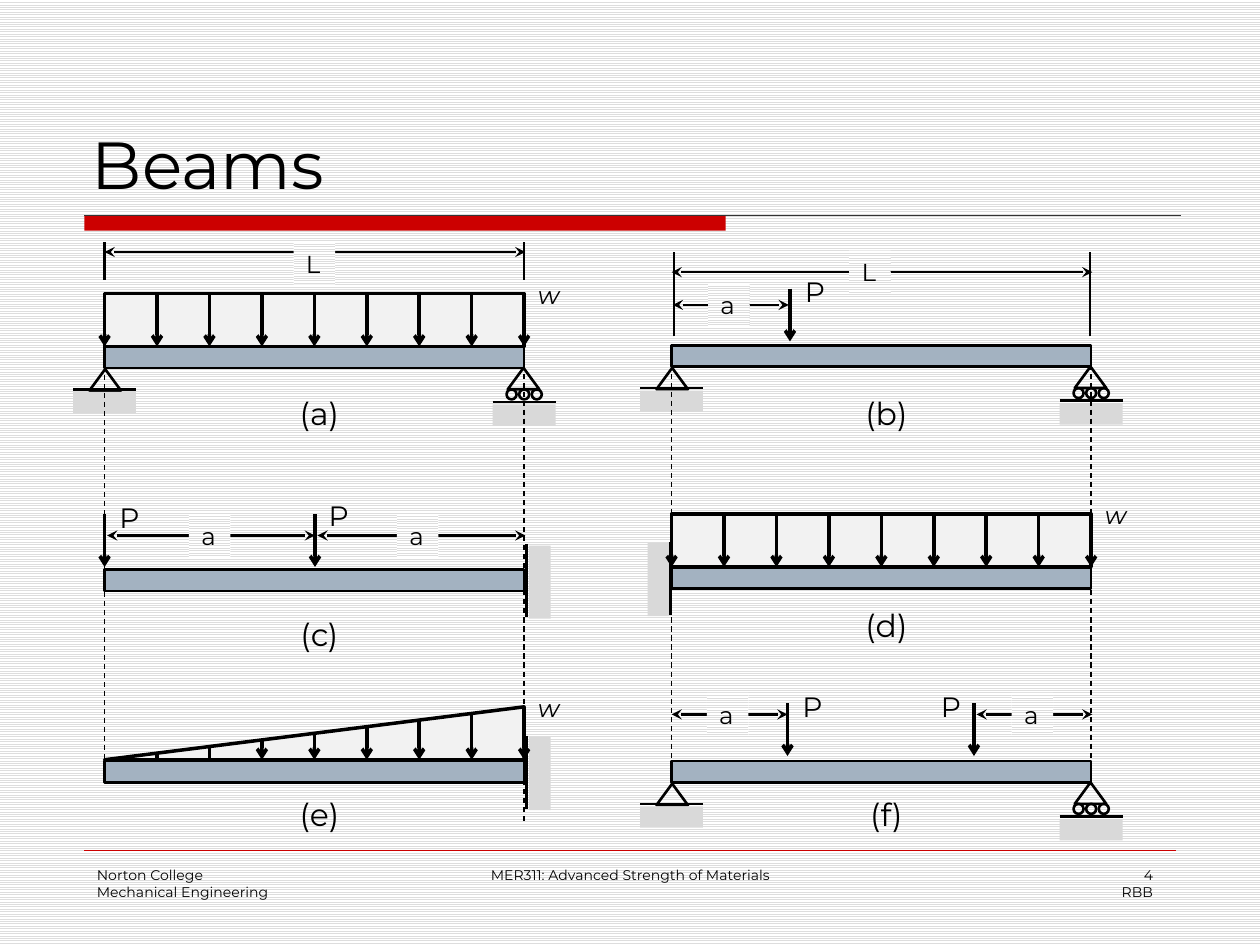
import pptx
import pptx.dml.color
import pptx.enum.dml
import pptx.enum.shapes
import pptx.enum.text
import pptx.oxml
import pptx.oxml.ns
import pptx.util
from pptx.util import Inches

RGBColor = pptx.dml.color.RGBColor
SHAPE = pptx.enum.shapes.MSO_SHAPE
ALIGN = pptx.enum.text.PP_ALIGN

BLACK = RGBColor(0, 0, 0)
WHITE = RGBColor(0xFF, 0xFF, 0xFF)
STRIPE = RGBColor(0xDD, 0xDD, 0xDD)
RED = RGBColor(0xCC, 0, 0)
RULE = RGBColor(0x33, 0x33, 0x33)
STEEL = RGBColor(0xA3, 0xB2, 0xC1)
GROUND = RGBColor(0xD9, 0xD9, 0xD9)
LOAD = RGBColor(0xF2, 0xF2, 0xF2)

SPAN, DEPTH, LOAD_H, STEPS = 3.33, 0.17, 0.42, 8
LEFT, RIGHT = 0.83, 5.33  # left ends of the beams in the two columns


class BeamSlide:
    font = "Montserrat"

    def __init__(self, slide):
        self.slide = slide
        self.stripes(slide.background.fill)

    def stripes(self, fill):
        fill.patterned()
        fill.pattern = pptx.enum.dml.MSO_PATTERN.LIGHT_HORIZONTAL
        fill.fore_color.rgb = STRIPE
        fill.back_color.rgb = WHITE

    # Basic elements
    def set_text(self, tf, text, size, align=ALIGN.LEFT, italic=None):
        tf.text = text
        for p in tf.paragraphs:
            p.alignment = align
            for r in p.runs:
                r.font.name, r.font.size = self.font, pptx.util.Pt(size)
                r.font.color.rgb, r.font.italic = BLACK, italic

    def title(self, text):
        sp = self.slide.shapes.title
        sp.left, sp.top, sp.width, sp.height = map(Inches, (0.63, 0.33, 8.75, 1.33))
        tf = sp.text_frame
        tf.auto_size = pptx.enum.text.MSO_AUTO_SIZE.NONE
        tf.vertical_anchor = pptx.enum.text.MSO_ANCHOR.BOTTOM
        self.set_text(tf, text, 38)

    def text(self, x, y, w, h, text, size, align=ALIGN.LEFT, italic=None, wrap=False):
        sp = self.slide.shapes.add_textbox(*map(Inches, (x, y, w, h)))
        sp.text_frame.word_wrap = wrap
        self.set_text(sp.text_frame, text, size, align, italic)

    def shape(self, kind, x, y, w, h, fill=None, width=None):
        sp = self.slide.shapes.add_shape(kind, *map(Inches, (x, y, w, h)))
        sp.shadow.inherit = False
        if fill is None:
            sp.fill.background()
        else:
            sp.fill.solid()
            sp.fill.fore_color.rgb = fill
        if width is None:
            sp.line.fill.background()
        else:
            sp.line.color.rgb, sp.line.width = BLACK, pptx.util.Pt(width)
        return sp

    def line(self, x1, y1, x2, y2, width=1.5, color=BLACK, head=None, tail=None, dash=False):
        s = self.slide.shapes.add_connector(
            pptx.enum.shapes.MSO_CONNECTOR.STRAIGHT, *map(Inches, (x1, y1, x2, y2)))
        s.line.color.rgb, s.line.width = color, pptx.util.Pt(width)
        if dash:
            s.line.dash_style = pptx.enum.dml.MSO_LINE.DASH
        ln = s.line._get_or_add_ln()
        for tag, end in (("a:headEnd", head), ("a:tailEnd", tail)):
            if end:
                ln.append(pptx.oxml.parse_xml(
                    f'<{tag} {pptx.oxml.ns.nsdecls("a")} type="{end}"/>'))
        s._element.spPr.append(pptx.oxml.parse_xml(
            f'<a:effectLst {pptx.oxml.ns.nsdecls("a")}/>'))
        return s

    # Beam parts
    def beam(self, x, y):
        self.shape(SHAPE.RECTANGLE, x, y, SPAN, DEPTH, STEEL, 1.5)

    def ground(self, x, y):
        self.line(x - 0.25, y, x + 0.25, y)
        self.shape(SHAPE.RECTANGLE, x - 0.25, y + 0.02, 0.5, 0.17, GROUND)

    def pin(self, x, y):
        self.shape(SHAPE.ISOSCELES_TRIANGLE, x - 0.12, y + 0.18, 0.25, 0.17, width=1.5)
        self.ground(x, y + 0.34)

    def roller(self, x, y):
        self.ground(x, y + 0.44)
        for k in (-1, 0, 1):
            self.shape(SHAPE.OVAL, x - 0.04 + 0.1 * k, y + 0.34, 0.08, 0.08, width=1.5)
        self.shape(SHAPE.ISOSCELES_TRIANGLE, x - 0.13, y + 0.17, 0.25, 0.17, width=1.5)

    def wall(self, x, y, side):
        self.line(x, y - 0.2, x, y + 0.38)
        left = x + 0.02 if side == "right" else x - 0.18
        self.shape(SHAPE.RECTANGLE, left, y - 0.19, 0.17, 0.58, GROUND)

    def force(self, x, y, tail="arrow", length=LOAD_H):
        return self.line(x, y - length, x, y, 2, tail=tail)

    def point_load(self, x, y, label_x, label_y):
        self.force(x, y)
        self.text(label_x, label_y, 0.36, 0.37, "P", 16)

    def uniform_load(self, x, y):
        box = self.shape(SHAPE.RECTANGLE, x, y - LOAD_H, SPAN, LOAD_H, LOAD, 2)
        for k in range(STEPS + 1):
            s = self.force(x + SPAN * k / STEPS, y)
            if k == STEPS // 2:
                s.begin_connect(box, 0)
                s.end_connect(box, 2)
        self.load_label(x, y)

    def ramp_load(self, x, y):
        sp = self.shape(SHAPE.ISOSCELES_TRIANGLE, x, y - LOAD_H, SPAN, LOAD_H, LOAD, 2)
        sp.adjustments[0] = 1
        for k in range(1, STEPS + 1):
            self.force(x + SPAN * k / STEPS, y, "arrow" if k > 2 else None, LOAD_H * k / STEPS)
        self.load_label(x, y)

    def load_label(self, x, y):
        self.text(x + SPAN + 0.01, y - 0.58, 0.39, 0.34, "w", 14, italic=True)

    def dimension(self, x1, x2, y, label, label_x, label_y):
        self.line(x1, y, x2, y, head="stealth", tail="stealth")
        sp = self.shape(SHAPE.RECTANGLE, label_x, label_y, 0.33, 0.34)
        self.stripes(sp.fill)
        sp.text_frame.word_wrap = False
        self.set_text(sp.text_frame, label, 14)

    def caption(self, x, y, letter):
        self.text(x + 1.42, y, 0.57, 0.4, f"({letter})", 18, ALIGN.CENTER)


def main():
    prs = pptx.Presentation()
    prs.slide_width, prs.slide_height = Inches(10), Inches(7.5)
    s = BeamSlide(prs.slides.add_slide(prs.slide_layouts[5]))

    # Title, rules and footer
    s.shape(SHAPE.RECTANGLE, 0.67, 1.71, 5.09, 0.12, RED)
    s.line(0.67, 1.71, 9.37, 1.71, 0.75, RULE)
    s.line(0.67, 6.75, 9.33, 6.75, 0.25, RED)
    s.title("Beams")
    for x, w, text, align in (
            (0.67, 2.08, "Norton College\nMechanical Engineering", ALIGN.LEFT),
            (3.42, 3.17, "MER311: Advanced Strength of Materials", ALIGN.CENTER),
            (7.17, 2.08, "4\nRBB", ALIGN.RIGHT)):
        s.text(x, 6.83, w, 0.5, text, 8, align, wrap=True)

    # Beams and captions
    for letter, x, y, caption_y in (
            ("a", LEFT, 2.75, 3.08), ("b", RIGHT, 2.74, 3.08),
            ("c", LEFT, 4.52, 4.83), ("d", RIGHT, 4.5, 4.76),
            ("e", LEFT, 6.04, 6.26), ("f", RIGHT, 6.04, 6.26)):
        s.beam(x, y)
        s.caption(x, caption_y, letter)

    # Supports
    for x, y in ((LEFT, 2.75), (RIGHT, 2.74), (RIGHT, 6.04)):
        s.pin(x, y)
        s.roller(x + SPAN, y)
    s.wall(4.18, 4.52, "right")
    s.wall(5.32, 4.5, "left")
    s.wall(4.18, 6.04, "right")

    # Loads
    s.uniform_load(LEFT, 2.75)
    s.uniform_load(RIGHT, 4.5)
    s.ramp_load(LEFT, 6.03)
    for x, y, label_x, label_y in (
            (6.27, 2.71, 6.29, 2.13),
            (LEFT, 4.5, 0.85, 3.92), (2.5, 4.5, 2.51, 3.91),
            (6.25, 6, 6.27, 5.42), (7.73, 6, 7.37, 5.42)):
        s.point_load(x, y, label_x, label_y)

    # Dashed guides through the beam ends
    for x, top, bottom in ((LEFT, 2.33, 6.13), (LEFT + SPAN, 2.75, 6.54),
                           (RIGHT, 2.75, 6.2), (RIGHT + SPAN, 2.75, 6.2)):
        s.line(x, top, x, bottom, 0.75, dash=True)

    # Dimensions and their extension lines
    for x, top, bottom in ((LEFT, 1.92, 2.22), (LEFT + SPAN, 1.92, 2.22),
                           (5.35, 2, 2.67), (8.65, 2, 2.67)):
        s.line(x, bottom, x, top)
    for x1, x2, y, label, label_x, label_y in (
            (LEFT, 4.17, 2, "L", 2.33, 1.92), (RIGHT, 8.67, 2.16, "L", 6.74, 1.99),
            (5.34, 6.26, 2.42, "a", 5.62, 2.25),
            (0.85, 2.5, 4.25, "a", 1.5, 4.08), (2.52, 4.17, 4.25, "a", 3.15, 4.08),
            (RIGHT, 6.25, 5.67, "a", 5.61, 5.5), (7.75, 8.67, 5.67, "a", 8.03, 5.5)):
        s.dimension(x1, x2, y, label, label_x, label_y)

    prs.save("out.pptx")


if __name__ == "__main__":
    main()
